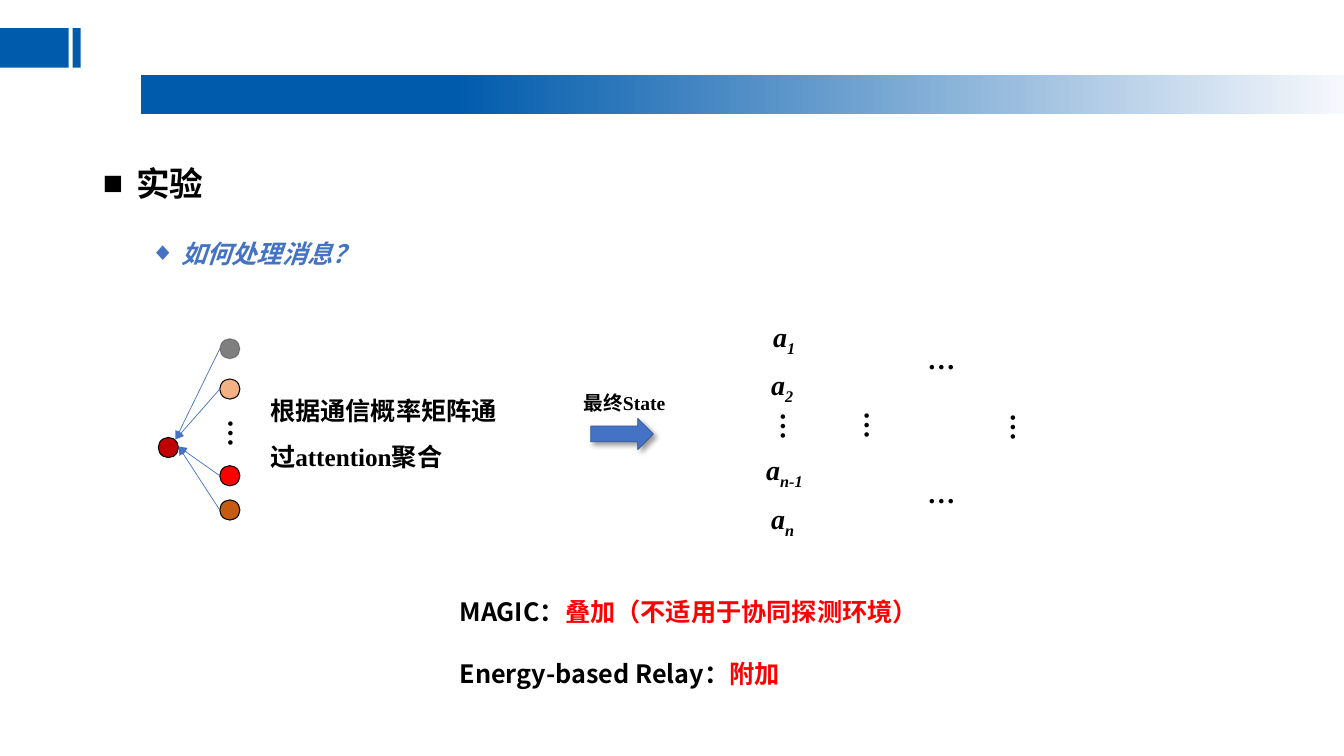
"""Build the slide on how agents process messages."""
from copy import deepcopy
from dataclasses import dataclass

from lxml.etree import SubElement as Sub
from pptx import Presentation
from pptx.dml.color import RGBColor as RGB
from pptx.enum.shapes import MSO_CONNECTOR as LINK, MSO_SHAPE as KIND
from pptx.enum.text import MSO_ANCHOR as ANCHOR, MSO_AUTO_SIZE as AUTO
from pptx.oxml.ns import qn
from pptx.util import Inches, Pt


@dataclass(frozen=True)
class Theme:
    han: str = "Noto Sans CJK SC"
    latin: str = "Times New Roman"
    ink: str = "000000"
    brand: str = "005BAC"
    pale: str = "F6F8FC"
    blue: str = "4472C4"
    edge: str = "325491"
    red: str = "FF0000"
    head: int = 24
    math: int = 20
    text: int = 18
    note: int = 14


T = Theme()
CELL = 0.1
COLS, ROWS = 133.3, 75
DOT = 2

BARS = [(14, 7.4, 119.3, 3.9), (0, 2.8, 6.8, 3.9), (7.2, 2.8, 0.8, 3.9)]
TITLE = "实验"
TOPIC = "如何处理消息？"
HUB = (16.7, 44.4, "C00000")
NODES = [(22.8, 34.6, "000000"), (22.8, 38.6, "F4B183"),
         (22.8, 47.2, "FF0000"), (22.8, 50.6, "C55A11")]
MERGE = [[("根据通信概率矩阵通过", T.han, T.ink), ("attention", T.latin, T.ink),
          ("聚合", T.han, T.ink)]]
RULES = [[("MAGIC：", T.han, T.ink), ("叠加（不适用于协同探测环境）", T.han, T.red)],
         [("Energy-based Relay：", T.han, T.ink), ("附加", T.han, T.red)]]
STATE = [[("最终", T.han, T.ink), ("State", T.latin, T.ink)]]
ACTS = [("1", 75.7, 31.2), ("2", 75.5, 36), ("n-1", 75, 44.4), ("n", 75.5, 49.3)]
GAPS = [(21.4, 40.9, 90), (76.2, 40.2, 90), (84.5, 40.1, 90),
        (99, 40.3, 90), (91.1, 33.4, 0), (91.1, 46.7, 0)]


def grid(*cells):
    return [Inches(cell * CELL) for cell in cells]


def style(run, size, face, color, slant=False):
    font = run.font
    font.size, font.name = Pt(size), face
    font.bold, font.italic = True, slant
    font.color.rgb = RGB.from_string(color)
    Sub(run._r.get_or_add_rPr(), qn("a:ea"), typeface=face)


def bullet(para, mark, hang):
    props = para._p.get_or_add_pPr()
    props.set("marL", str(Inches(hang)))
    props.set("indent", str(-Inches(hang)))
    Sub(props, qn("a:buFont"), typeface=T.latin)
    Sub(props, qn("a:buChar"), char=mark)


def box(area, lines, size, slant=False, lead=None, anchor=ANCHOR.TOP):
    shape = page.shapes.add_textbox(*grid(*area))
    frame = shape.text_frame
    frame.word_wrap = True
    frame.vertical_anchor = anchor
    for row, parts in enumerate(lines):
        para = frame.add_paragraph() if row else frame.paragraphs[0]
        if lead:
            para.line_spacing = lead
            para.space_before, para.space_after = Pt(6 if row else 0), Pt(6)
        for words, face, color in parts:
            run = para.add_run()
            run.text = words
            style(run, size, face, color, slant)
    return shape


def block(kind, area, color, edge=None, width=0.75):
    shape = page.shapes.add_shape(kind, *grid(*area))
    shape.shadow.inherit = False
    shape.fill.solid()
    shape.fill.fore_color.rgb = RGB.from_string(color)
    if edge:
        shape.line.color.rgb = RGB.from_string(edge)
        shape.line.width = Pt(width)
    else:
        shape.line.fill.background()
    return shape


def disc(x, y, color):
    area = (x - DOT / 2, y - DOT / 2, DOT, DOT)
    return block(KIND.OVAL, area, color, T.ink)


def fade(shape, *shares):
    for tint, share in zip(shape._element.spPr.iter(qn("a:srgbClr")), shares):
        Sub(tint, qn("a:alpha"), val=str(share * 1000))


def link(x, y):
    end = (17.4, 43.6) if y < HUB[1] else (17.7, 44.3)
    line = page.shapes.add_connector(LINK.STRAIGHT, *grid(x - DOT / 2, y, *end))
    line.line.color.rgb = RGB.from_string(T.blue)
    line.line.width = Pt(0.5)
    props = line._element.spPr
    Sub(props.find(qn("a:ln")), qn("a:tailEnd"), type="triangle")
    Sub(props, qn("a:effectLst"))


deck = Presentation()
deck.slide_width, deck.slide_height = grid(COLS, ROWS)
page = deck.slides.add_slide(deck.slide_layouts[1])
name = page.shapes.title._element
name.getparent().remove(name)

body = page.placeholders[1]
body.left, body.top, body.width, body.height = grid(9.2, 13.7, 101.1, 55.9)
body.text_frame.auto_size = AUTO.NONE
para = body.text_frame.paragraphs[0]
para.text = TITLE
para.line_spacing, para.space_before = 1.5, Pt(0)
bullet(para, "■", 0.33)
style(para.runs[0], T.head, T.han, T.ink)

bars = [block(KIND.RECTANGLE, area, T.brand) for area in BARS]
fill = bars[0].fill
fill.gradient()
fill.gradient_angle = 0
first = next(bars[0]._element.iter(qn("a:gs")))
first.addnext(deepcopy(first))
for stop, spot, color in zip(fill.gradient_stops, (0, 0.26, 1),
                             (T.brand, T.brand, T.pale)):
    stop.position = spot
    stop.color.rgb = RGB.from_string(color)

topic = box((13.9, 23.1, 109.2, 4), [[(TOPIC, T.han, T.blue)]], T.text, True,
            anchor=ANCHOR.MIDDLE)
bullet(topic.text_frame.paragraphs[0], "◆", 0.31)

disc(*HUB)
discs = [disc(*node) for node in NODES]
fade(discs[0], 50, 25)
for x, y, _ in NODES:
    link(x, y)

box((25.8, 37.5, 25.5, 9.5), MERGE, T.text, lead=1.5, anchor=ANCHOR.MIDDLE)
box((44.6, 57.4, 56.3, 11.1), RULES, T.text, lead=1.5, anchor=ANCHOR.MIDDLE)
box((56.9, 38.3, 11.5, 3.4), STATE, T.note)

for x, y, turn in GAPS:
    dots = box((x, y, 4.7, 4.4), [[("…", T.latin, T.ink)]], T.math, True)
    dots.rotation = turn
for sub, x, y in ACTS:
    parts = [("a", T.latin, T.ink), (sub, T.latin, T.ink)]
    act = box((x, y, 6.4, 4.4), [parts], T.math, True)
    low = act.text_frame.paragraphs[0].runs[1]
    low._r.get_or_add_rPr().set("baseline", "-25000")

arrow = block(KIND.RIGHT_ARROW, (58.6, 41.5, 6.2, 3.1), T.blue, T.edge, 0.5)
glow = Sub(arrow._element.spPr.find(qn("a:effectLst")), qn("a:outerShdw"),
           blurRad=str(Pt(4)), dist=str(Pt(3)), dir=str(45 * 60000))
tint = Sub(glow, qn("a:srgbClr"), val=T.ink)
Sub(tint, qn("a:alpha"), val="40000")

deck.save("out.pptx")
